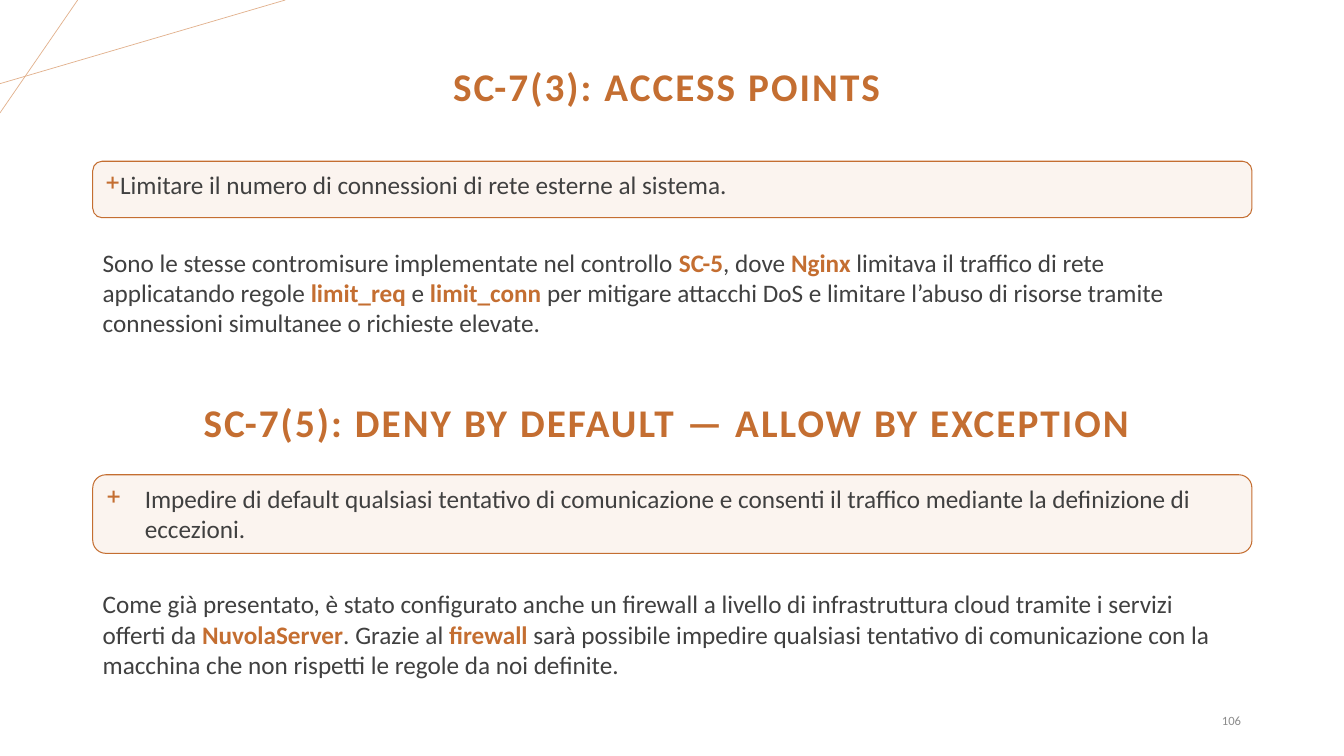
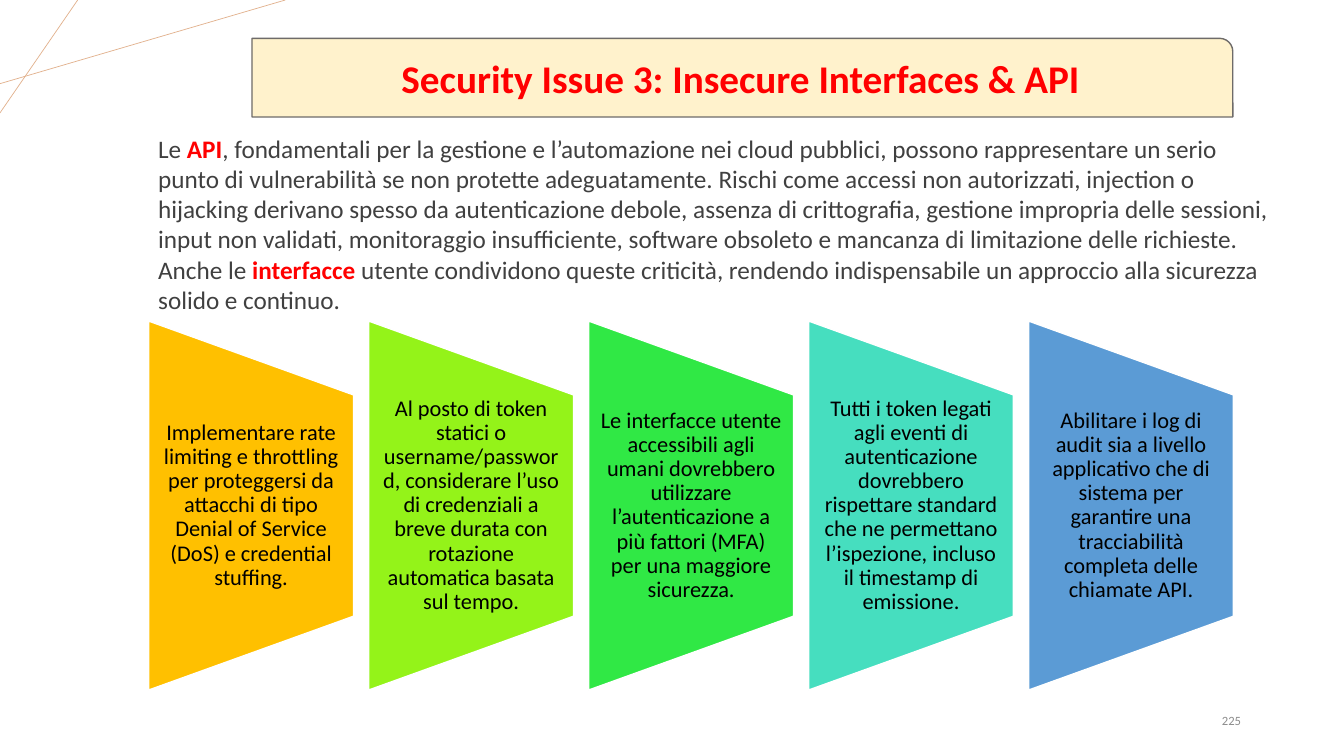
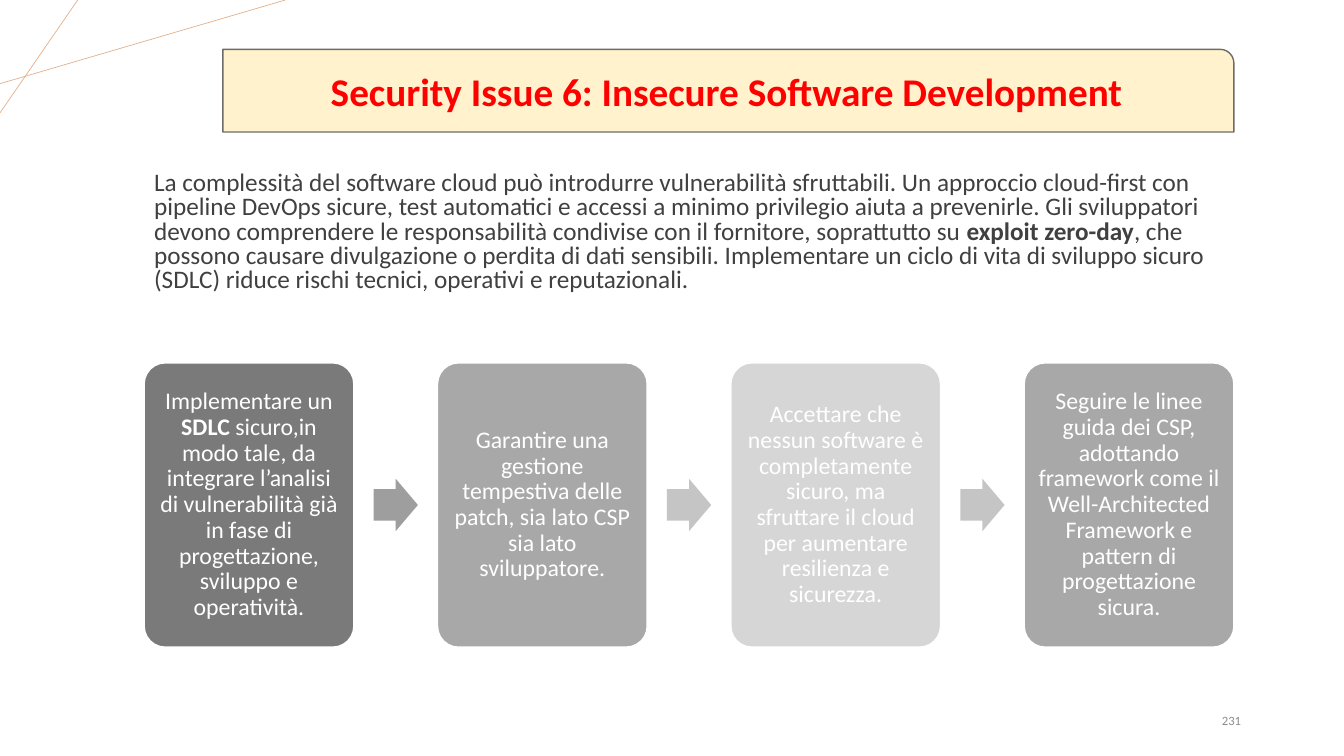
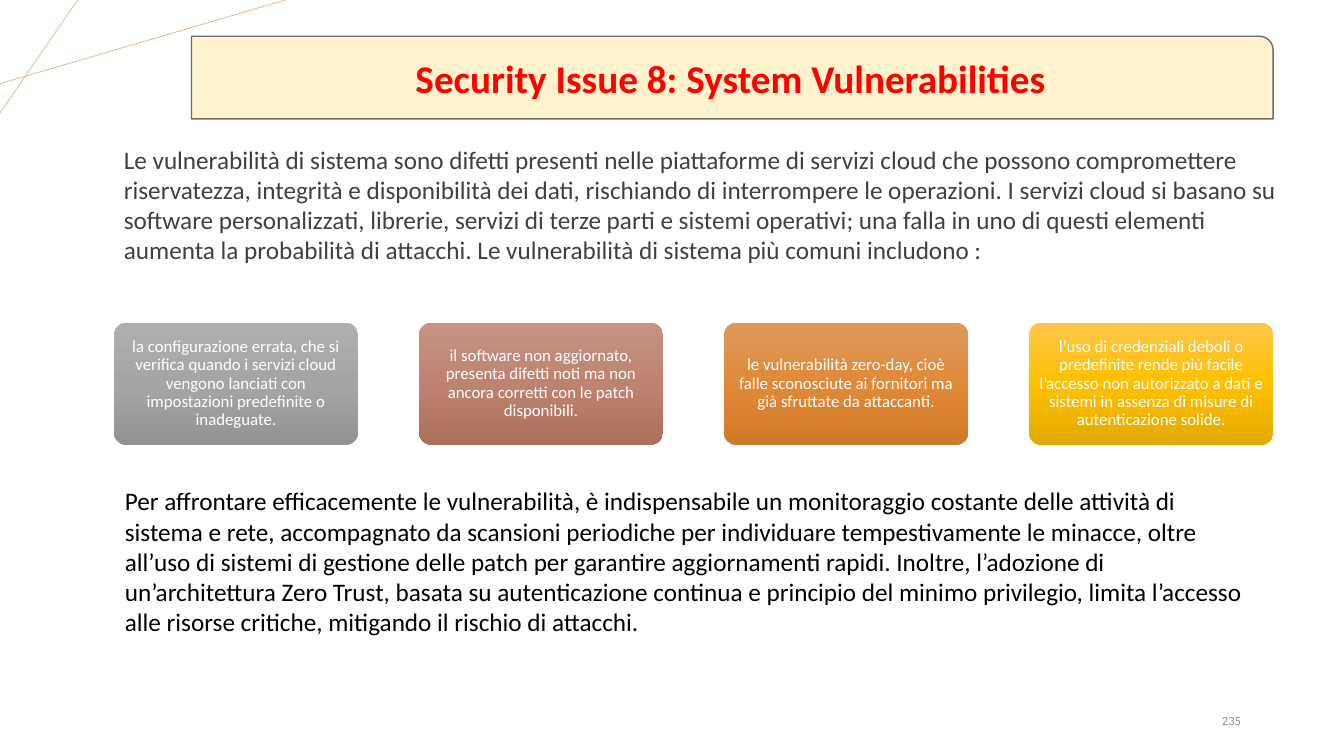
from copy import deepcopy
from dataclasses import dataclass

from pptx import Presentation
from pptx.dml.color import RGBColor
from pptx.enum.shapes import MSO_CONNECTOR as Connector, MSO_SHAPE as Shape
from pptx.enum.text import MSO_ANCHOR as Anchor, PP_ALIGN as Align
from pptx.oxml.ns import qn
from pptx.oxml.xmlchemy import OxmlElement
from pptx.util import Emu, Inches, Pt

SLIDE_WIDTH = Inches(13.33)
SLIDE_HEIGHT = Inches(7.5)


@dataclass(frozen=True)
class Theme:
    font: str = "Calibri"
    accent: str = "C46E31"
    accent_pale: str = "FBF4EF"
    corner_line: str = "E2B18D"
    text: str = "404040"
    black: str = "000000"
    white: str = "FFFFFF"
    number: str = "8C8C8C"
    alert: str = "FF0000"
    banner: str = "FFF2CC"
    banner_line: str = "6E6B69"
    trapezoids: tuple = ("FFC000", "94F319", "30E845", "46DEBF", "5B9BD5")
    steps: tuple = ("7A7A7A", "A8A8A8", "D6D6D6", "A8A8A8")
    arrows: tuple = ("9E9E9E", "C5C5C5", "C5C5C5")
    gradients: tuple = (
        ("AFAFAF", "A5A5A5", "939393"),
        ("C49484", "BE8370", "AD705C"),
        ("DE995E", "E08A38", "D07A29"),
        ("FFC64B", "FFC000", "E3AA00"),
    )
    title_size: float = 28
    body_size: float = 18
    step_size: float = 17
    trapezoid_size: float = 16
    card_size: float = 12
    number_size: float = 9


THEME = Theme()


def rgb(value):
    return RGBColor.from_string(value)


def area(left, top, width, height):
    """Turn percentages of the slide into left, top, width and height."""
    return (Emu(int(SLIDE_WIDTH * left / 100)), Emu(int(SLIDE_HEIGHT * top / 100)),
            Emu(int(SLIDE_WIDTH * width / 100)), Emu(int(SLIDE_HEIGHT * height / 100)))


def spread(left, span, width, count):
    """Left edges of equally spaced items that fill the span."""
    pitch = (span - width) / (count - 1)
    return [left + index * pitch for index in range(count)]


def add_bullet(paragraph, mark, color, indent):
    properties = paragraph._p.get_or_add_pPr()
    properties.set("marL", str(Inches(indent)))
    properties.set("indent", str(-Inches(indent)))
    bullet_color = OxmlElement("a:buClr")
    color_value = OxmlElement("a:srgbClr")
    color_value.set("val", color)
    bullet_color.append(color_value)
    bullet = OxmlElement("a:buChar")
    bullet.set("char", mark)
    properties.extend([bullet_color, bullet])


def write(shape, text, size=THEME.body_size, color=THEME.text, strong=None, bold=False,
          align=Align.LEFT, anchor=Anchor.TOP, line_spacing=1.0, tracking=0,
          margins=(0.1, 0.05), indent=0):
    """Fill a shape with one paragraph; parts between ** are bold, in the strong colour."""
    frame = shape.text_frame
    frame.word_wrap = True
    frame.vertical_anchor = anchor
    frame.margin_left = frame.margin_right = Inches(margins[0])
    frame.margin_top = frame.margin_bottom = Inches(margins[1])
    paragraph = frame.paragraphs[0]
    paragraph.alignment = align
    paragraph.line_spacing = line_spacing
    if indent:
        add_bullet(paragraph, "+", THEME.accent, indent)
    for index, part in enumerate(text.split("**")):
        marked = index % 2 == 1
        run = paragraph.add_run()
        run.text = part
        run.font.name = THEME.font
        run.font.size = Pt(size)
        run.font.bold = bold or marked
        run.font.color.rgb = rgb(strong if marked and strong else color)
        if tracking:
            run._r.get_or_add_rPr().set("spc", str(int(tracking * 100)))


def add_text(slide, place, text, **text_format):
    write(slide.shapes.add_textbox(*area(*place)), text, **text_format)


def add_block(slide, kind, place, fill, line=None, line_width=1, corner=None):
    """Add a preset shape; a tuple of colours as fill makes a vertical gradient."""
    shape = slide.shapes.add_shape(kind, *area(*place))
    shape.shadow.inherit = False
    if isinstance(fill, tuple):
        fill_gradient(shape, fill)
    else:
        shape.fill.solid()
        shape.fill.fore_color.rgb = rgb(fill)
    if line:
        shape.line.color.rgb = rgb(line)
        shape.line.width = Pt(line_width)
    else:
        shape.line.fill.background()
    if corner is not None:
        shape.adjustments[0] = corner
    return shape


def fill_gradient(shape, colors):
    shape.fill.gradient()
    shape.fill.gradient_angle = 270
    stop_list = shape._element.spPr.find(qn("a:gradFill")).find(qn("a:gsLst"))
    middle = deepcopy(stop_list[0])
    middle.set("pos", "50000")
    stop_list.insert(1, middle)
    for stop, color in zip(shape.fill.gradient_stops, colors):
        stop.color.rgb = rgb(color)


def add_corner_line(slide, start, end):
    start_x, start_y, end_x, end_y = area(*start, *end)
    line = slide.shapes.add_connector(Connector.STRAIGHT, start_x, start_y, end_x, end_y)
    line.line.color.rgb = rgb(THEME.corner_line)
    line.line.width = Pt(0.5)
    line._element.spPr.append(OxmlElement("a:effectLst"))


def add_slide(presentation, number):
    """Add a blank slide with the corner lines and the page number."""
    slide = presentation.slides.add_slide(presentation.slide_layouts[6])
    add_corner_line(slide, (0, 11.07), (21.23, 0))
    add_corner_line(slide, (5.78, 0), (0, 14.93))
    add_text(slide, (88.95, 92.67, 4.13, 5.33), str(number), size=THEME.number_size,
             color=THEME.number, align=Align.RIGHT, anchor=Anchor.MIDDLE)
    return slide


def add_heading(slide, place, text):
    add_text(slide, place, text, size=THEME.title_size, color=THEME.accent, bold=True,
             align=Align.CENTER, anchor=Anchor.MIDDLE, line_spacing=0.9, tracking=1.5)


def add_requirement(slide, place, text, indent):
    box = add_block(slide, Shape.ROUNDED_RECTANGLE, place, THEME.accent_pale,
                    THEME.accent, 0.75)
    write(box, text, indent=indent)


def add_banner(slide, place, text):
    banner = add_block(slide, Shape.ROUND_1_RECTANGLE, place, THEME.banner,
                       THEME.banner_line)
    write(banner, text, size=THEME.title_size, color=THEME.alert, bold=True,
          align=Align.CENTER, anchor=Anchor.MIDDLE)


def add_trapezoid(slide, place, text, fill):
    """Add a trapezoid that narrows to the right, with upright text over it."""
    left, top, width, height = place
    shape = add_block(slide, Shape.FLOWCHART_MANUAL_OPERATION, place, fill, THEME.white)
    center_x, center_y = shape.left + shape.width // 2, shape.top + shape.height // 2
    shape.width, shape.height = shape.height, shape.width
    shape.left, shape.top = center_x - shape.width // 2, center_y - shape.height // 2
    shape.rotation = 270
    add_text(slide, (left, top + height * 0.2, width, height * 0.6), text,
             size=THEME.trapezoid_size, color=THEME.black, align=Align.CENTER,
             anchor=Anchor.MIDDLE, line_spacing=0.9, margins=(0.11, 0))


def add_card(slide, place, text, fill, size, margins, line=None):
    card = add_block(slide, Shape.ROUNDED_RECTANGLE, place, fill, line, corner=0.1)
    write(card, text, size=size, color=THEME.white, align=Align.CENTER,
          anchor=Anchor.MIDDLE, line_spacing=0.9, margins=margins)


def build_access_slide(presentation):
    slide = add_slide(presentation, 106)
    left, width = 6.9, 86.25
    add_heading(slide, (left, 5.2, width, 13.07), "SC-7(3): ACCESS POINTS ")
    add_requirement(slide, (left, 21.33, width, 7.47),
                    "Limitare il numero di connessioni di rete esterne al sistema.", 0.14)
    add_text(slide, (left, 32, width, 13.47),
             "Sono le stesse contromisure implementate nel controllo **SC-5**, dove **Nginx** "
             "limitava il traffico di rete applicatando regole **limit_req **e **limit_conn **"
             "per mitigare attacchi DoS e limitare l’abuso di risorse tramite connessioni "
             "simultanee o richieste elevate.", strong=THEME.accent)
    add_heading(slide, (left, 50, width, 12.27),
                "SC-7(5): DENY BY DEFAULT — ALLOW BY EXCEPTION ")
    add_requirement(slide, (left, 62.8, width, 10.4),
                    "Impedire di default qualsiasi tentativo di comunicazione e consenti il "
                    "traffico mediante la definizione di eccezioni.", 0.38)
    add_text(slide, (left, 77.2, width, 13.47),
             "Come già presentato, è stato configurato anche un firewall a livello di "
             "infrastruttura cloud tramite i servizi offerti da **NuvolaServer**. Grazie al "
             "**firewall** sarà possibile impedire qualsiasi tentativo di comunicazione con la "
             "macchina che non rispetti le regole da noi definite.", strong=THEME.accent)


def build_interfaces_slide(presentation):
    slide = add_slide(presentation, 225)
    add_text(slide, (11.03, 16.93, 84.9, 25.73),
             "Le **API**, fondamentali per la gestione e l’automazione nei cloud pubblici, "
             "possono rappresentare un serio punto di vulnerabilità se non protette "
             "adeguatamente. Rischi come accessi non autorizzati, injection o hijacking derivano "
             "spesso da autenticazione debole, assenza di crittografia, gestione impropria delle "
             "sessioni, input non validati, monitoraggio insufficiente, software obsoleto e "
             "mancanza di limitazione delle richieste. Anche le **interfacce** utente "
             "condividono queste criticità, rendendo indispensabile un approccio alla sicurezza "
             "solido e continuo.", strong=THEME.alert)
    measures = (
        "Implementare rate limiting e throttling per proteggersi da attacchi di tipo Denial of "
        "Service (DoS) e credential stuffing.",
        "Al posto di token statici o username/password, considerare l’uso di credenziali a "
        "breve durata con rotazione automatica basata sul tempo.",
        "Le interfacce utente accessibili agli umani dovrebbero utilizzare l’autenticazione a "
        "più fattori (MFA) per una maggiore sicurezza.",
        "Tutti i token legati agli eventi di autenticazione dovrebbero rispettare standard che "
        "ne permettano l’ispezione, incluso il timestamp di emissione.",
        "Abilitare i log di audit sia a livello applicativo che di sistema per garantire una "
        "tracciabilità completa delle chiamate API.",
    )
    width = 15.23
    lefts = spread(11.07, 80.7, width, len(measures))
    for left, text, fill in zip(lefts, measures, THEME.trapezoids):
        add_trapezoid(slide, (left, 42.47, width, 48.8), text, fill)
    add_banner(slide, (18.75, 5.07, 72.98, 10.4),
               "Security Issue 3: Insecure Interfaces & API")


def build_development_slide(presentation):
    slide = add_slide(presentation, 231)
    left, span = 10.73, 81.08
    add_text(slide, (left, 22.13, span, 18.8),
             "La complessità del software cloud può introdurre vulnerabilità sfruttabili. Un "
             "approccio cloud-first con pipeline DevOps sicure, test automatici e accessi a "
             "minimo privilegio aiuta a prevenirle. Gli sviluppatori devono comprendere le "
             "responsabilità condivise con il fornitore, soprattutto su **exploit zero-day**, "
             "che possono causare divulgazione o perdita di dati sensibili. Implementare un "
             "ciclo di vita di sviluppo sicuro (SDLC) riduce rischi tecnici, operativi e "
             "reputazionali.", line_spacing=0.8)
    add_banner(slide, (16.58, 6.53, 75.23, 10.93),
               "Security Issue 6: Insecure Software Development")
    steps = (
        "Implementare un **SDLC** sicuro,in modo tale, da integrare l’analisi di vulnerabilità "
        "già in fase di progettazione, sviluppo e operatività.",
        "Garantire una gestione tempestiva delle patch, sia lato CSP sia lato sviluppatore.",
        "Accettare che nessun software è completamente sicuro, ma sfruttare il cloud per "
        "aumentare resilienza e sicurezza.",
        "Seguire le linee guida dei CSP, adottando framework come il Well-Architected "
        "Framework e pattern di progettazione sicura.",
    )
    top, width, height = 48, 15.6, 37.6
    arrow_width, arrow_height = 3.3, 6.93
    lefts = spread(left, span, width, len(steps))
    for step_left, text, fill in zip(lefts, steps, THEME.steps):
        add_card(slide, (step_left, top, width, height), text, fill, THEME.step_size,
                 (0.07, 0.07), THEME.white)
    for step_left, next_left, fill in zip(lefts, lefts[1:], THEME.arrows):
        arrow_left = (step_left + width + next_left - arrow_width) / 2
        arrow_top = top + (height - arrow_height) / 2
        arrow = add_block(slide, Shape.RIGHT_ARROW,
                          (arrow_left, arrow_top, arrow_width, arrow_height), fill, corner=0.6)
        arrow.adjustments[1] = 0.5


def build_vulnerabilities_slide(presentation):
    slide = add_slide(presentation, 235)
    left = 8.48
    add_text(slide, (left, 18.4, 87.53, 23.07),
             "Le vulnerabilità di sistema sono difetti presenti nelle piattaforme di servizi "
             "cloud che possono compromettere riservatezza, integrità e disponibilità dei dati, "
             "rischiando di interrompere le operazioni. I servizi cloud si basano su software "
             "personalizzati, librerie, servizi di terze parti e sistemi operativi; una falla in "
             "uno di questi elementi aumenta la probabilità di attacchi. Le vulnerabilità di "
             "sistema più comuni includono :")
    add_banner(slide, (14.25, 4.8, 80.48, 10.93), "Security Issue 8: System Vulnerabilities")
    flaws = (
        "la configurazione errata, che si verifica quando i servizi cloud vengono lanciati con "
        "impostazioni predefinite o inadeguate.",
        "il software non aggiornato, presenta difetti noti ma non ancora corretti con le patch "
        "disponibili.",
        "le vulnerabilità zero-day, cioè falle sconosciute ai fornitori ma già sfruttate da "
        "attaccanti.",
        "l’uso di credenziali deboli o predefinite rende più facile l’accesso non autorizzato a "
        "dati e sistemi in assenza di misure di autenticazione solide.",
    )
    width = 18.15
    lefts = spread(left, 86.25, width, len(flaws))
    for card_left, text, colors in zip(lefts, flaws, THEME.gradients):
        add_card(slide, (card_left, 42.67, width, 16.13), text, colors, THEME.card_size,
                 (0.03, 0.02))
    add_text(slide, (8.55, 63.6, 84.98, 21.6),
             "Per affrontare efficacemente le vulnerabilità, è indispensabile un monitoraggio "
             "costante delle attività di sistema e rete, accompagnato da scansioni periodiche "
             "per individuare tempestivamente le minacce, oltre all’uso di sistemi di gestione "
             "delle patch per garantire aggiornamenti rapidi. Inoltre, l’adozione di "
             "un’architettura Zero Trust, basata su autenticazione continua e principio del "
             "minimo privilegio, limita l’accesso alle risorse critiche, mitigando il rischio di "
             "attacchi.", color=THEME.black)


def main():
    presentation = Presentation()
    presentation.slide_width = SLIDE_WIDTH
    presentation.slide_height = SLIDE_HEIGHT
    build_access_slide(presentation)
    build_interfaces_slide(presentation)
    build_development_slide(presentation)
    build_vulnerabilities_slide(presentation)
    presentation.save("out.pptx")


if __name__ == "__main__":
    main()
